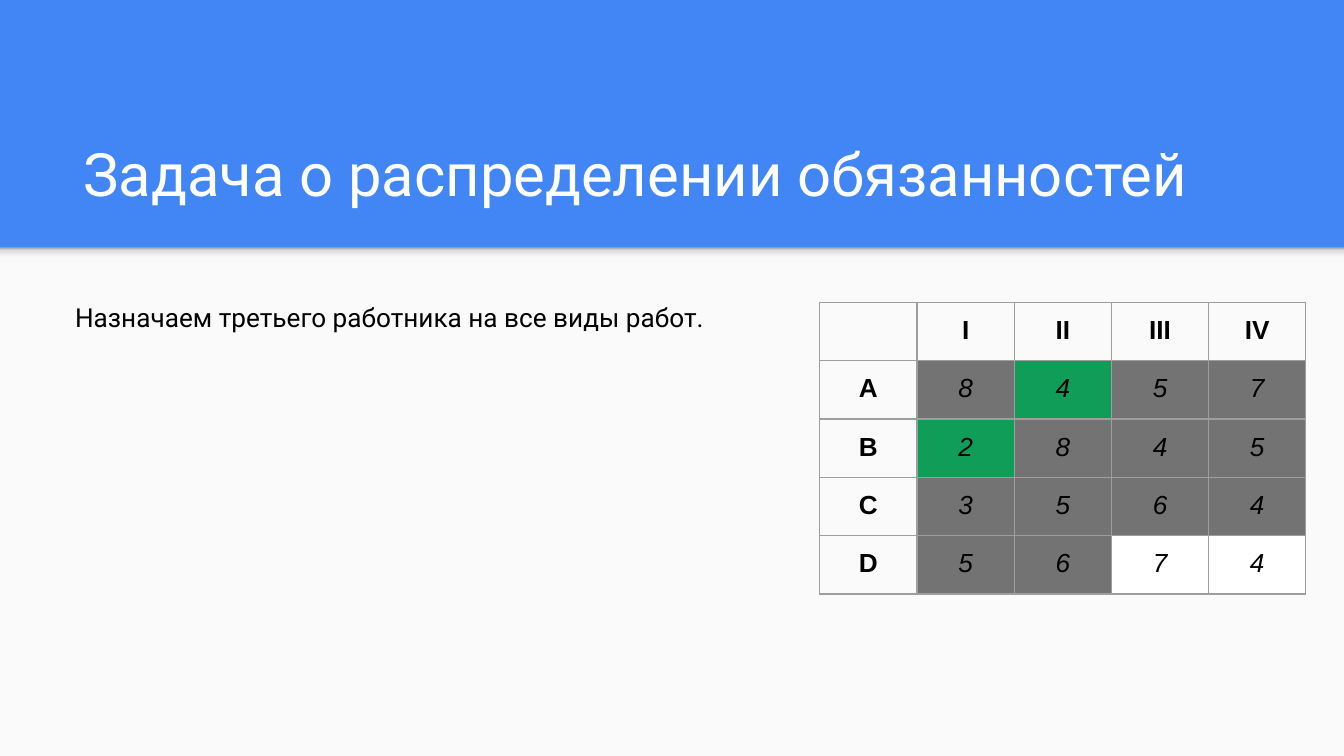
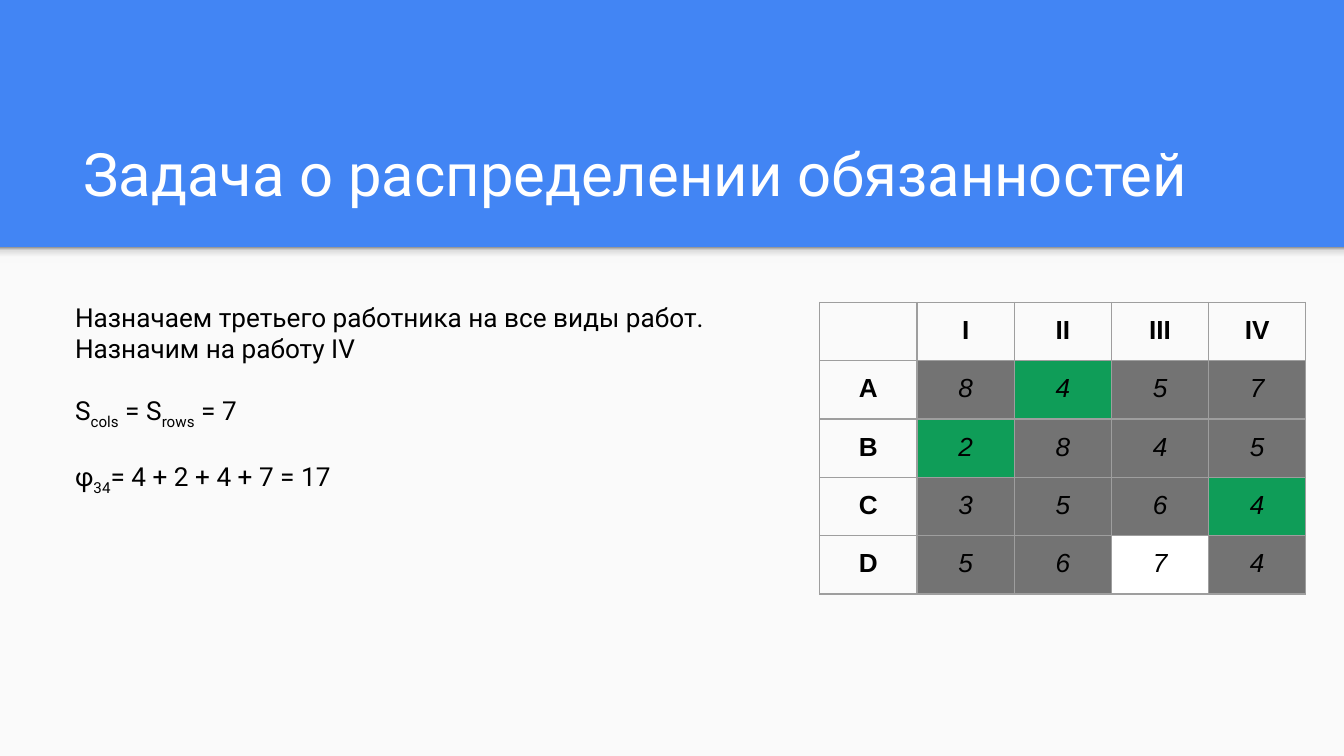
from dataclasses import dataclass

from lxml.etree import SubElement
from pptx import Presentation
from pptx.dml.color import RGBColor
from pptx.enum.shapes import MSO_SHAPE
from pptx.enum.text import MSO_ANCHOR, PP_ALIGN
from pptx.oxml.ns import qn
from pptx.util import Pt


# Theme shared by both slides
@dataclass(frozen=True)
class Theme:
    header: str = "4285F4"
    page: str = "FAFAFA"
    title_ink: str = "FFFFFF"
    ink: str = "000000"
    border: str = "9E9E9E"
    excluded: str = "737373"
    assigned: str = "0F9D58"
    available: str = "FFFFFF"
    shadow: tuple = ((0, "F9F9F9"), (36, "F9F9F9"), (80, "DEDEDE"), (100, "999999"))
    text_font: str = "Roboto"
    table_font: str = "Arial"
    title_size: float = 32
    body_size: float = 14
    border_width: float = 0.75
    inset: float = 7.2


THEME = Theme()
WIDTH, HEIGHT, HEADER_HEIGHT = 720, 405, 132.5


@dataclass(frozen=True)
class Box:
    left: float
    top: float
    width: float
    height: float

    def in_points(self) -> tuple:
        return Pt(self.left), Pt(self.top), Pt(self.width), Pt(self.height)


@dataclass(frozen=True)
class Span:
    text: str
    subscript: bool = False


@dataclass(frozen=True)
class Line:
    spans: tuple
    space_before: float = 0


@dataclass(frozen=True)
class Step:
    explanation: tuple
    assigned: frozenset
    available: frozenset


# Content
TITLE = "Задача о распределении обязанностей"
WORKS = ("I", "II", "III", "IV")
COSTS = {"A": (8, 4, 5, 7), "B": (2, 8, 4, 5), "C": (3, 5, 6, 4), "D": (5, 6, 7, 4)}
ALL_WORKS = Line((Span("Назначаем третьего работника на все виды работ."),))
FORMULA_GAP = 16.4

STEPS = (
    Step((ALL_WORKS,), frozenset({"A-II", "B-I"}), frozenset({"D-III", "D-IV"})),
    Step(
        (
            ALL_WORKS,
            Line((Span("Назначим на работу IV"),)),
            Line((Span("S"), Span("cols", True), Span(" = S"),
                  Span("rows", True), Span(" = 7")), FORMULA_GAP),
            Line((Span("φ"), Span("34", True),
                  Span("= 4 + 2 + 4 + 7 = 17")), FORMULA_GAP),
        ),
        frozenset({"A-II", "B-I", "C-IV"}),
        frozenset({"D-III"}),
    ),
)

TITLE_BOX = Box(37.5, 58.3, 647.3, 60.5)
EXPLANATION_BOX = Box(33.1, 154.1, 380.9, 216)
TABLE_BOX = Box(439.2, 162, 260.5, 150)


# Drawing functions
def write(frame, lines, *, font=THEME.text_font, size=THEME.body_size,
          color=THEME.ink, bold=False, italic=False,
          align=PP_ALIGN.LEFT, anchor=MSO_ANCHOR.TOP) -> None:
    """Fill a text frame with one line of plain text or a sequence of Lines."""
    if isinstance(lines, str):
        lines = (Line((Span(lines),)),)
    frame.word_wrap = True
    frame.vertical_anchor = anchor
    for index, line in enumerate(lines):
        paragraph = frame.paragraphs[0] if index == 0 else frame.add_paragraph()
        paragraph.alignment = align
        paragraph.space_before = Pt(line.space_before)
        for span in line.spans:
            run = paragraph.add_run()
            run.text = span.text
            run.font.name, run.font.size = font, Pt(size)
            run.font.bold, run.font.italic = bold, italic
            run.font.color.rgb = RGBColor.from_string(color)
            if span.subscript:
                run.font._element.set("baseline", "-25000")


def add_text(slide, box: Box, lines, **text_format) -> None:
    frame = slide.shapes.add_textbox(*box.in_points()).text_frame
    frame.margin_left = frame.margin_right = Pt(THEME.inset)
    frame.margin_top = frame.margin_bottom = Pt(THEME.inset)
    write(frame, lines, **text_format)


def add_panel(slide, box: Box):
    panel = slide.shapes.add_shape(MSO_SHAPE.RECTANGLE, *box.in_points())
    panel.shadow.inherit = False
    panel.line.fill.background()
    return panel


def add_frame(slide) -> None:
    """Blue header, light page and the soft edge between them."""
    slide.background.fill.solid()
    slide.background.fill.fore_color.rgb = RGBColor.from_string(THEME.header)

    page = add_panel(slide, Box(0, HEADER_HEIGHT, WIDTH, HEIGHT - HEADER_HEIGHT))
    page.fill.solid()
    page.fill.fore_color.rgb = RGBColor.from_string(THEME.page)

    edge = add_panel(slide, Box(0, HEADER_HEIGHT, WIDTH, 8.6))
    edge.fill.gradient()
    edge.fill.gradient_angle = 90
    stops = next(edge._element.iter(qn("a:gsLst")))
    stops.clear()
    for percent, color in THEME.shadow:
        stop = SubElement(stops, qn("a:gs"), pos=str(percent * 1000))
        SubElement(stop, qn("a:srgbClr"), val=color)


def draw_borders(cell) -> None:
    properties = cell._tc.get_or_add_tcPr()
    for side in ("lnL", "lnR", "lnT", "lnB"):
        edge = SubElement(properties, qn(f"a:{side}"), w=str(int(Pt(THEME.border_width))))
        fill = SubElement(edge, qn("a:solidFill"))
        SubElement(fill, qn("a:srgbClr"), val=THEME.border)


def fill_cell(cell, text: str, fill: str | None = None, **text_format) -> None:
    cell.margin_left = cell.margin_right = Pt(THEME.inset)
    cell.margin_top = cell.margin_bottom = Pt(THEME.inset)
    draw_borders(cell)
    if fill:
        cell.fill.solid()
        cell.fill.fore_color.rgb = RGBColor.from_string(fill)
    else:
        cell.fill.background()
    if text:
        write(cell.text_frame, text, font=THEME.table_font,
              align=PP_ALIGN.CENTER, **text_format)
    else:
        end = cell.text_frame.paragraphs[0]._p.get_or_add_endParaRPr()
        end.set("sz", str(int(THEME.body_size * 100)))


def add_cost_table(slide, step: Step) -> None:
    rows, columns = len(COSTS) + 1, len(WORKS) + 1
    table = slide.shapes.add_table(rows, columns, *TABLE_BOX.in_points()).table
    table.first_row = table.horz_banding = False
    for column in table.columns:
        column.width = Pt(TABLE_BOX.width / columns)
    for row in table.rows:
        row.height = Pt(TABLE_BOX.height / rows)

    for column, work in enumerate(("", *WORKS)):
        fill_cell(table.cell(0, column), work, bold=True)
    for row, (worker, costs) in enumerate(COSTS.items(), start=1):
        fill_cell(table.cell(row, 0), worker, bold=True)
        for column, (work, cost) in enumerate(zip(WORKS, costs), start=1):
            pair = f"{worker}-{work}"
            fill = (THEME.assigned if pair in step.assigned
                    else THEME.available if pair in step.available
                    else THEME.excluded)
            fill_cell(table.cell(row, column), str(cost), fill,
                      italic=True, anchor=MSO_ANCHOR.MIDDLE)


def main() -> None:
    deck = Presentation()
    deck.slide_width, deck.slide_height = Pt(WIDTH), Pt(HEIGHT)
    for step in STEPS:
        slide = deck.slides.add_slide(deck.slide_layouts[6])
        add_frame(slide)
        add_text(slide, TITLE_BOX, TITLE, size=THEME.title_size,
                 color=THEME.title_ink, anchor=MSO_ANCHOR.BOTTOM)
        add_text(slide, EXPLANATION_BOX, step.explanation)
        add_cost_table(slide, step)
    deck.save("out.pptx")


if __name__ == "__main__":
    main()
